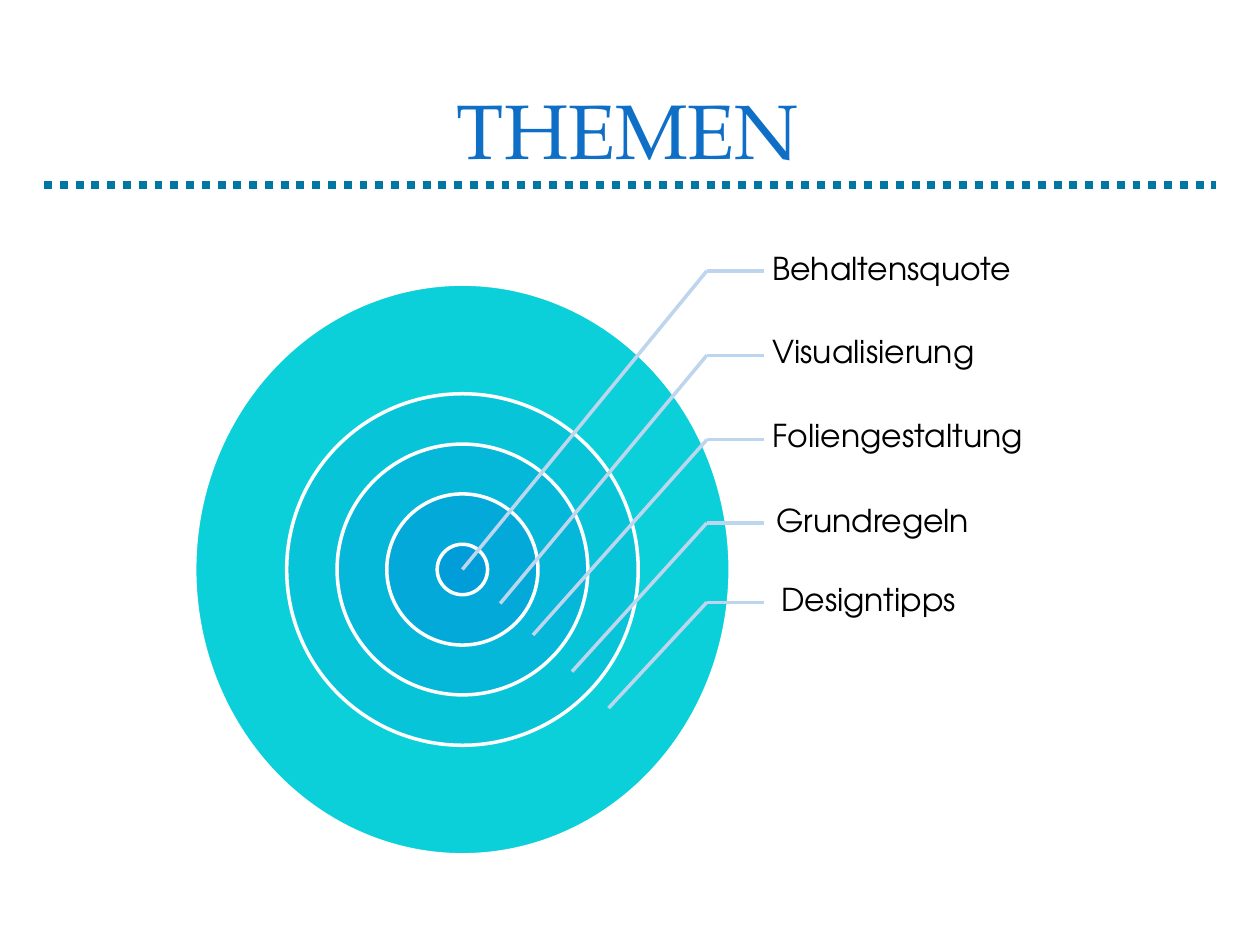
from pptx import Presentation
from pptx.dml.color import RGBColor
from pptx.enum.dml import MSO_LINE
from pptx.enum.shapes import MSO_CONNECTOR, MSO_SHAPE
from pptx.enum.text import MSO_ANCHOR, PP_ALIGN
from pptx.oxml.ns import qn
from pptx.util import Inches, Pt

WHITE = RGBColor(0xFF, 0xFF, 0xFF)
BLACK = RGBColor(0, 0, 0)
TITLE_BLUE = RGBColor(0x0F, 0x6F, 0xC6)
RULE_BLUE = RGBColor(0x00, 0x76, 0xA3)
LEADER_BLUE = RGBColor(0xBD, 0xD5, 0xED)

TITLE = "THEMEN"
CENTER_X, CENTER_Y = 3.67, 4.52
RINGS = [
    (4.25, 4.53, RGBColor(0x0B, 0xD0, 0xD9)),
    (2.79, 2.79, RGBColor(0x08, 0xC4, 0xD9)),
    (1.99, 1.99, RGBColor(0x05, 0xB7, 0xD9)),
    (1.2, 1.2, RGBColor(0x03, 0xAA, 0xD9)),
    (0.4, 0.4, RGBColor(0x00, 0x9D, 0xD9)),
]
TOPICS = [
    ("Behaltensquote", 5.99, 1.83, 2.94, 2.15, (CENTER_X, CENTER_Y)),
    ("Visualisierung", 5.99, 2.49, 2.94, 2.82, (3.97, 4.79)),
    ("Foliengestaltung", 5.99, 3.16, 2.94, 3.49, (4.23, 5.04)),
    ("Grundregeln", 6.02, 3.83, 3, 4.15, (4.54, 5.33)),
    ("Designtipps", 6.06, 4.46, 1.79, 4.78, (4.83, 5.62)),
]
ELBOW_X, LEADER_END_X = 5.61, 6.06
LABEL_HEIGHT = 0.63

prs = Presentation()
prs.slide_width, prs.slide_height = Inches(10), Inches(7.5)
slide = prs.slides.add_slide(prs.slide_layouts[6])


def add_line(start, end, color, width):
    line = slide.shapes.add_connector(
        MSO_CONNECTOR.STRAIGHT, *(Inches(v) for v in (*start, *end)))
    line.line.color.rgb = color
    line.line.width = Pt(width)
    properties = line._element.spPr
    properties.append(properties.makeelement(qn("a:effectLst"), {}))
    return line


def add_text(text, box, font, size, color, align, insets):
    frame = slide.shapes.add_textbox(*(Inches(v) for v in box)).text_frame
    frame.word_wrap = True
    frame.vertical_anchor = MSO_ANCHOR.MIDDLE
    (frame.margin_left, frame.margin_top,
     frame.margin_right, frame.margin_bottom) = (Inches(v) for v in insets)
    paragraph = frame.paragraphs[0]
    paragraph.alignment = align
    run = paragraph.add_run()
    run.text = text
    run.font.name = font
    run.font.size = Pt(size)
    run.font.color.rgb = color
    return paragraph


rule = add_line((0.35, 1.47), (9.65, 1.47), RULE_BLUE, 4.5)
rule.line.dash_style = MSO_LINE.ROUND_DOT
add_text(TITLE, (0.47, 0.45, 9.03, 1.14), "TeX Gyre Pagella", 44,
         TITLE_BLUE, PP_ALIGN.CENTER, (0.1, 0.05, 0.1, 0.05))

for width, height, color in RINGS:
    ring = slide.shapes.add_shape(
        MSO_SHAPE.OVAL, Inches(CENTER_X - width / 2), Inches(CENTER_Y - height / 2),
        Inches(width), Inches(height))
    ring.shadow.inherit = False
    ring.fill.solid()
    ring.fill.fore_color.rgb = color
    ring.line.color.rgb = WHITE
    ring.line.width = Pt(2)

for text, left, top, width, leader_y, target in TOPICS:
    label = add_text(text, (left, top, width, LABEL_HEIGHT), "TeX Gyre Adventor", 18,
                     BLACK, PP_ALIGN.LEFT, (0.14, 0.03, 0.03, 0.03))
    label.line_spacing = 0.9
    elbow = (ELBOW_X, leader_y)
    for end in ((LEADER_END_X, leader_y), target):
        add_line(elbow, end, LEADER_BLUE, 2)

prs.save("out.pptx")
